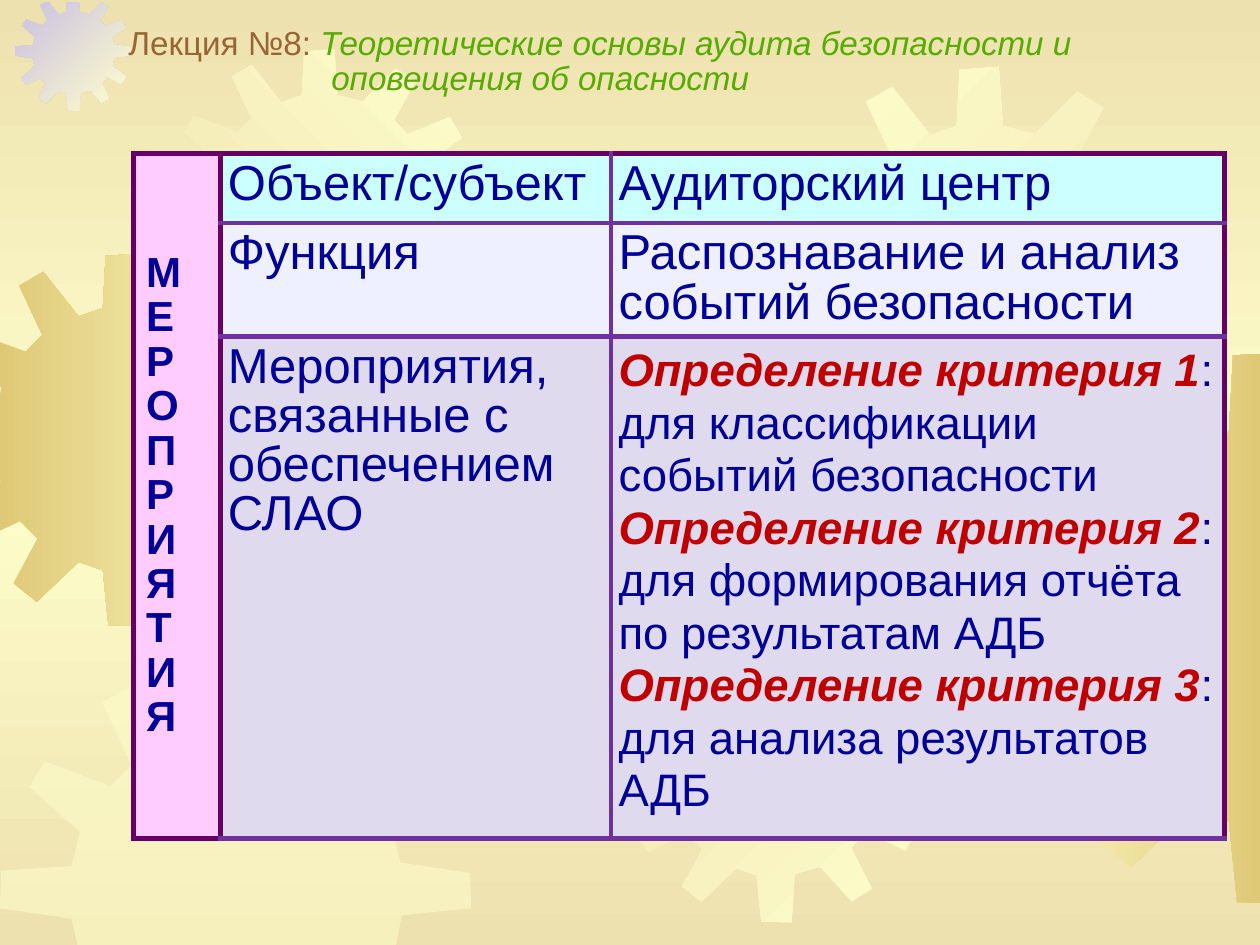
from copy import deepcopy

from lxml.etree import SubElement
from pptx import Presentation
from pptx.dml.color import RGBColor
from pptx.enum.text import MSO_ANCHOR
from pptx.oxml.ns import qn
from pptx.util import Inches, Pt

CREAM = RGBColor(0xFF, 0xFF, 0xCC)
SAND = RGBColor(0xED, 0xE1, 0xAF)
GOLD = RGBColor(0xDF, 0xC9, 0x77)
LILAC = RGBColor(0xCA, 0xC0, 0xE2)
NAVY = RGBColor(0x00, 0x00, 0x99)
RED = RGBColor(0xC0, 0x00, 0x00)
BROWN = RGBColor(0x99, 0x66, 0x33)
GREEN = RGBColor(0x56, 0xAC, 0x00)
PINK = RGBColor(0xFF, 0xCC, 0xFF)
CYAN = RGBColor(0xCC, 0xFF, 0xFF)
PALE = RGBColor(0xEF, 0xF0, 0xFF)
MAUVE = RGBColor(0xE0, 0xDA, 0xEE)
PLUM = RGBColor(0x66, 0x00, 0x66)
VIOLET = RGBColor(0x70, 0x30, 0xA0)

# Gear outline in a square of 401 units
SIDE = 401
TEETH = [
    (255, 67), (223, 59), (219, 0), (180, 3), (177, 59), (151, 68),
    (113, 20), (87, 35), (112, 88), (94, 106), (38, 85), (25, 107),
    (68, 145), (61, 174), (1, 178), (0, 210), (61, 219), (67, 246),
    (22, 287), (38, 312), (88, 288), (107, 307), (81, 355), (106, 375),
    (151, 332), (177, 341), (183, 400), (222, 401), (226, 339), (259, 330),
    (299, 374), (325, 358), (299, 306), (316, 284), (368, 309), (384, 281),
    (336, 246), (342, 216), (401, 210), (400, 180), (341, 171), (335, 148),
    (383, 114), (367, 87), (313, 109), (296, 91), (323, 41), (297, 25),
]
# Left, top, size, first colour, last colour, angle
GEARS = [
    (-0.49, 2.01, 2.96, GOLD, CREAM, 0),
    (0.12, -0.04, 0.92, LILAC, CREAM, 45),
    (1.3, 0.39, 2.48, SAND, CREAM, 315),
    (2.77, 1.39, 4.01, CREAM, SAND, 45),
    (0, 5.25, 3.74, CREAM, None, 0),
    (4.91, 4.84, 2.48, SAND, CREAM, 45),
    (6.18, 0.53, 3.2, CREAM, SAND, 45),
    (7.82, 2.79, 4.38, CREAM, GOLD, 0),
]
# Axis, edge, side to keep
EDGES = [(0, 0, 1), (0, 10, -1), (1, 0.02, 1), (1, 7.5, -1)]


def clip(points, axis, edge, sign):
    """Cut a closed outline at one edge of the slide."""
    kept = []
    for a, b in zip(points, points[1:] + points[:1]):
        da, db = (sign * (p[axis] - edge) for p in (a, b))
        if da >= 0:
            kept.append(a)
        if da * db < 0:
            t = da / (da - db)
            kept.append(tuple(m + t * (n - m) for m, n in zip(a, b)))
    return kept


def blend(fill, first, last, angle):
    fill.gradient()
    fill.gradient_angle = (360 - angle) % 360
    for stop, color in zip(fill.gradient_stops, (first, last)):
        stop.color.rgb = color


def add_gear(slide, left, top, size, first, last, angle):
    points = [(left + x * size / SIDE, top + y * size / SIDE) for x, y in TEETH]
    for edge in EDGES:
        points = clip(points, *edge)
    points = [(Inches(x), Inches(y)) for x, y in points]
    path = slide.shapes.build_freeform(*points[0])
    path.add_line_segments(points[1:], close=True)
    gear = path.convert_to_shape()
    gear.shadow.inherit = False
    gear.line.fill.background()
    if last:
        blend(gear.fill, first, last, angle)
    else:
        gear.fill.solid()
        gear.fill.fore_color.rgb = first
        color = gear.fill._xPr.find(".//" + qn("a:srgbClr"))
        SubElement(color, qn("a:alpha"), val="50000")


def add_back(slide):
    fill = slide.background.fill
    blend(fill, SAND, CREAM, 90)
    fill.gradient_stops[1].position = 0.5
    stops = slide.element.find(".//" + qn("a:gsLst"))
    end = deepcopy(stops[0])
    end.set("pos", "100000")
    stops.append(end)


def add_run(para, text, size, color, bold=False, italic=False):
    run = para.add_run()
    run.text = text
    font = run.font
    font.name, font.size = "Arial", Pt(size)
    font.bold, font.italic = bold, italic
    font.color.rgb = color


def add_title(slide):
    box = slide.shapes.add_textbox(Inches(0.87), Inches(0.21), Inches(9.13), Inches(0.57))
    frame = box.text_frame
    frame.word_wrap = True
    frame.vertical_anchor = MSO_ANCHOR.MIDDLE
    frame.margin_left = frame.margin_right = frame.margin_top = frame.margin_bottom = 0
    lines = [
        (0.15, [("Лекция №8: ", BROWN, False),
                ("Теоретические основы аудита безопасности и", GREEN, True)]),
        (1.76, [("оповещения об опасности", GREEN, True)]),
    ]
    for i, (indent, runs) in enumerate(lines):
        para = frame.add_paragraph() if i else frame.paragraphs[0]
        para.line_spacing = Pt(20)
        props = para._p.get_or_add_pPr()
        props.set("marL", str(Inches(indent)))
        props.set("indent", "0")
        for text, color, italic in runs:
            add_run(para, text, 19, color, italic=italic)


def set_edges(cell, left, right, top, bottom):
    props = cell._tc.get_or_add_tcPr()
    for i, (side, color) in enumerate(zip("LRTB", (left, right, top, bottom))):
        line = SubElement(props, qn("a:ln" + side), w=str(Pt(3)))
        fill = SubElement(line, qn("a:solidFill"))
        SubElement(fill, qn("a:srgbClr"), val=str(color))
        props.insert(i, line)


def set_cell(cell, color, pad):
    cell.fill.solid()
    cell.fill.fore_color.rgb = color
    cell.margin_left = cell.margin_right = Inches(pad[0])
    cell.margin_top = cell.margin_bottom = Inches(pad[1])


def fill_text(cell, text, size, spacing, bold=False):
    cell.text_frame.text = text
    for para in cell.text_frame.paragraphs:
        para.line_spacing = spacing
        font = para.runs[0].font
        font.name, font.size, font.bold = "Arial", Pt(size), bold
        font.color.rgb = NAVY


def fill_goals(cell):
    goals = ["для классификации событий безопасности",
             "для формирования отчёта по результатам АДБ",
             "для анализа результатов АДБ"]
    frame = cell.text_frame
    for i, goal in enumerate(goals):
        para = frame.add_paragraph() if i else frame.paragraphs[0]
        para.line_spacing = Pt(30)
        add_run(para, f"Определение критерия {i + 1}", 26, RED, True, True)
        add_run(para, f": {goal}", 26, NAVY)


def add_grid(slide):
    frame = slide.shapes.add_table(3, 3, Inches(1.06), Inches(1.22), Inches(8.66), Inches(5.43))
    table = frame.table
    table.first_row = table.horz_banding = False
    for col, width in zip(table.columns, (0.69, 3.1, 4.87)):
        col.width = Inches(width)
    for row, height in zip(table.rows, (0.55, 0.9, 3.98)):
        row.height = Inches(height)

    # Side heading
    table.cell(0, 0).merge(table.cell(2, 0))
    for r in range(3):
        set_cell(table.cell(r, 0), PINK, (0.1, 0.05))
        set_edges(table.cell(r, 0), PLUM, PLUM, PLUM, PLUM)
    head = table.cell(0, 0)
    head.vertical_anchor = MSO_ANCHOR.MIDDLE
    fill_text(head, "\n".join("МЕРОПРИЯТИЯ"), 24, 0.95, True)

    # Body
    rows = [
        (CYAN, "Объект/субъект", "Аудиторский центр"),
        (PALE, "Функция", "Распознавание и анализ событий безопасности"),
        (MAUVE, "Мероприятия, связанные с обеспечением СЛАО", None),
    ]
    for r, (color, *texts) in enumerate(rows):
        top = VIOLET if r else PLUM
        for c, text in enumerate(texts, 1):
            cell = table.cell(r, c)
            set_cell(cell, color, (0.06, 0.06))
            sides = (PLUM, VIOLET) if c == 1 else (VIOLET, PLUM)
            set_edges(cell, *sides, top, VIOLET)
            if text:
                fill_text(cell, text, 28, 0.9)
    table.cell(1, 2).vertical_anchor = MSO_ANCHOR.MIDDLE
    fill_goals(table.cell(2, 2))


def main():
    deck = Presentation()
    deck.slide_width, deck.slide_height = Inches(10), Inches(7.5)
    slide = deck.slides.add_slide(deck.slide_layouts[6])
    add_back(slide)
    for gear in GEARS:
        add_gear(slide, *gear)
    add_grid(slide)
    add_title(slide)
    deck.save("out.pptx")


if __name__ == "__main__":
    main()
